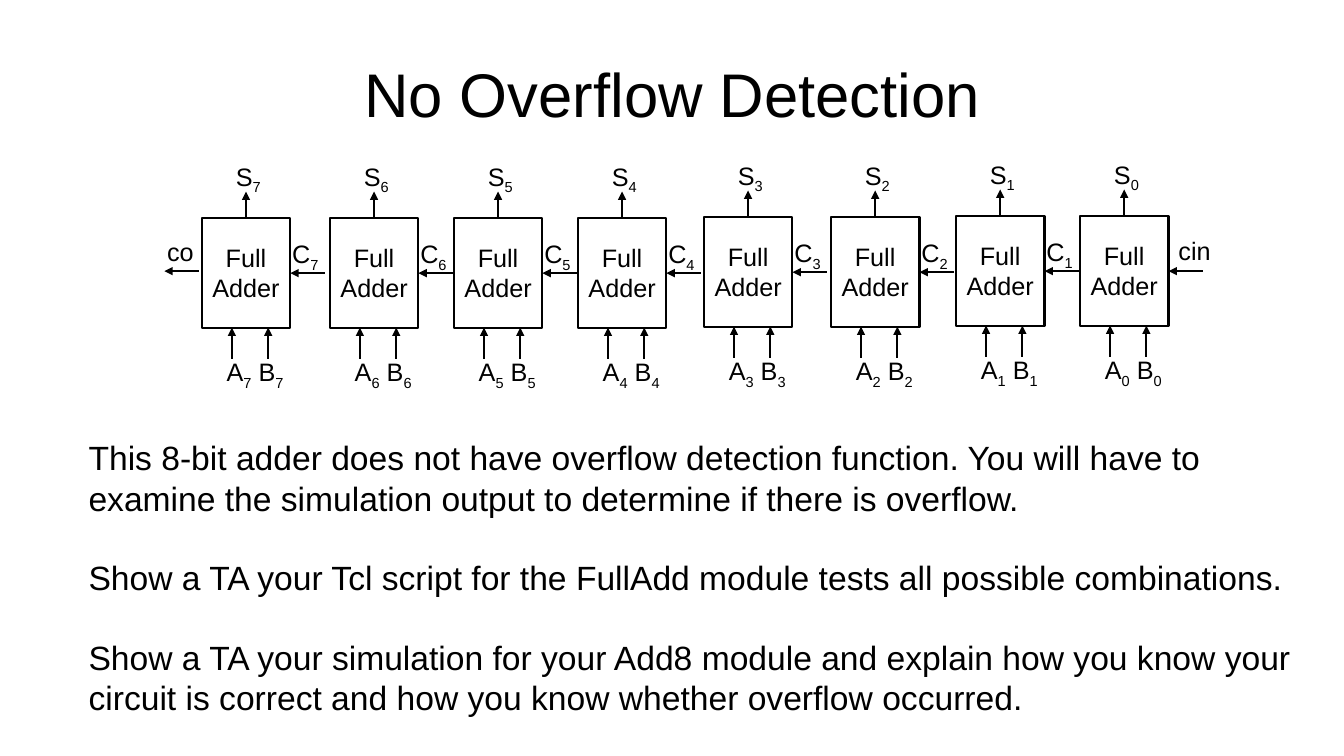
from lxml.etree import SubElement
from pptx import Presentation
from pptx.dml.color import RGBColor
from pptx.enum.shapes import MSO_CONNECTOR, MSO_SHAPE
from pptx.enum.text import MSO_ANCHOR, PP_ALIGN
from pptx.oxml.ns import qn
from pptx.util import Pt

PX = 9144  # 100 px to the inch
COLORS = {"ink": "000000"}
FONT = "Arial"

ADDER_W, ADDER_H = 88, 109
CARRY_LENGTH = 34
# Left and top of each full adder, bit 0 first
ADDERS = [(1071, 214), (948, 214), (824, 215), (698, 215),
          (573, 216), (450, 216), (327, 216), (200, 216)]

BODY = [
    "This 8-bit adder does not have overflow detection function. You will "
    "have to examine the simulation output to determine if there is overflow.",
    "Show a TA your Tcl script for the FullAdd module tests all possible "
    "combinations.",
    "Show a TA your simulation for your Add8 module and explain how you know "
    "your circuit is correct and how you know whether overflow occurred.",
]


def ink():
    return RGBColor.from_string(COLORS["ink"])


def add_run(paragraph, text, size, subscript=False):
    run = paragraph.add_run()
    run.text = text
    run.font.size = Pt(size)
    run.font.name = FONT
    run.font.color.rgb = ink()
    if subscript:
        run.font._element.set("baseline", "-25000")


def add_text_frame(slide, left, top, width, height):
    box = slide.shapes.add_textbox(left * PX, top * PX, width * PX, height * PX)
    box.text_frame.word_wrap = True
    return box.text_frame


def add_label(slide, left, top, width, *names, bit=None):
    """Write signal names on one line, each with the bit as its subscript."""
    line = add_text_frame(slide, left, top, width, 40).paragraphs[0]
    for name in names:
        add_run(line, name, 18)
        if bit is not None:
            add_run(line, str(bit), 18, subscript=True)


def add_arrow(slide, x1, y1, x2, y2):
    arrow = slide.shapes.add_connector(
        MSO_CONNECTOR.STRAIGHT, x1 * PX, y1 * PX, x2 * PX, y2 * PX)
    arrow.line.color.rgb = ink()
    arrow.line.width = Pt(1.5)
    SubElement(arrow.line._get_or_add_ln(), qn("a:tailEnd"), type="triangle")
    SubElement(arrow._element.spPr, qn("a:effectLst"))


def add_adder_box(slide, left, top):
    adder = slide.shapes.add_shape(
        MSO_SHAPE.RECTANGLE, left * PX, top * PX, ADDER_W * PX, ADDER_H * PX)
    adder.shadow.inherit = False
    adder.fill.background()
    adder.line.color.rgb = ink()
    adder.line.width = Pt(1.5)
    frame = adder.text_frame
    frame.word_wrap = True
    frame.vertical_anchor = MSO_ANCHOR.MIDDLE
    frame.paragraphs[0].alignment = PP_ALIGN.CENTER
    add_run(frame.paragraphs[0], "Full Adder", 18)


def add_full_adder(slide, bit, left, top):
    """Draw one adder with its sum, its two inputs and its carry in."""
    right, bottom = left + ADDER_W, top + ADDER_H
    middle = left + ADDER_W // 2
    add_adder_box(slide, left, top)

    add_arrow(slide, middle, top, middle, top - 26)
    add_label(slide, left + 24, top - 61, 54, "S", bit=bit)

    for input_x in (left + 30, left + 66):
        add_arrow(slide, input_x, bottom + 31, input_x, bottom)
    add_label(slide, left + 15, top + 133, 86, "A", " B", bit=bit)

    carry_y = top + 55
    add_arrow(slide, right + CARRY_LENGTH, carry_y, right, carry_y)
    if bit == 0:
        add_label(slide, right, top + 15, 53, "cin")
    else:
        add_label(slide, right - 8, top + 16, 53, "C", bit=bit)


def add_carry_out(slide):
    start = ADDERS[-1][0] - 3
    add_arrow(slide, start, 269, start - CARRY_LENGTH, 269)
    add_label(slide, 156, 230, 53, "co")


def add_title(slide):
    frame = add_text_frame(slide, 67, 30, 1200, 125)
    frame.vertical_anchor = MSO_ANCHOR.MIDDLE
    frame.paragraphs[0].alignment = PP_ALIGN.CENTER
    add_run(frame.paragraphs[0], "No Overflow Detection", 44)


def add_body(slide):
    frame = add_text_frame(slide, 78, 429, 1239, 293)
    for index, text in enumerate(BODY):
        paragraph = frame.add_paragraph() if index else frame.paragraphs[0]
        if index:
            paragraph.space_before = Pt(28)
        add_run(paragraph, text, 24)


def main():
    deck = Presentation()
    deck.slide_width, deck.slide_height = 1333 * PX, 750 * PX
    slide = deck.slides.add_slide(deck.slide_layouts[6])
    for bit, (left, top) in enumerate(ADDERS):
        add_full_adder(slide, bit, left, top)
    add_carry_out(slide)
    add_body(slide)
    add_title(slide)
    deck.save("out.pptx")


if __name__ == "__main__":
    main()
